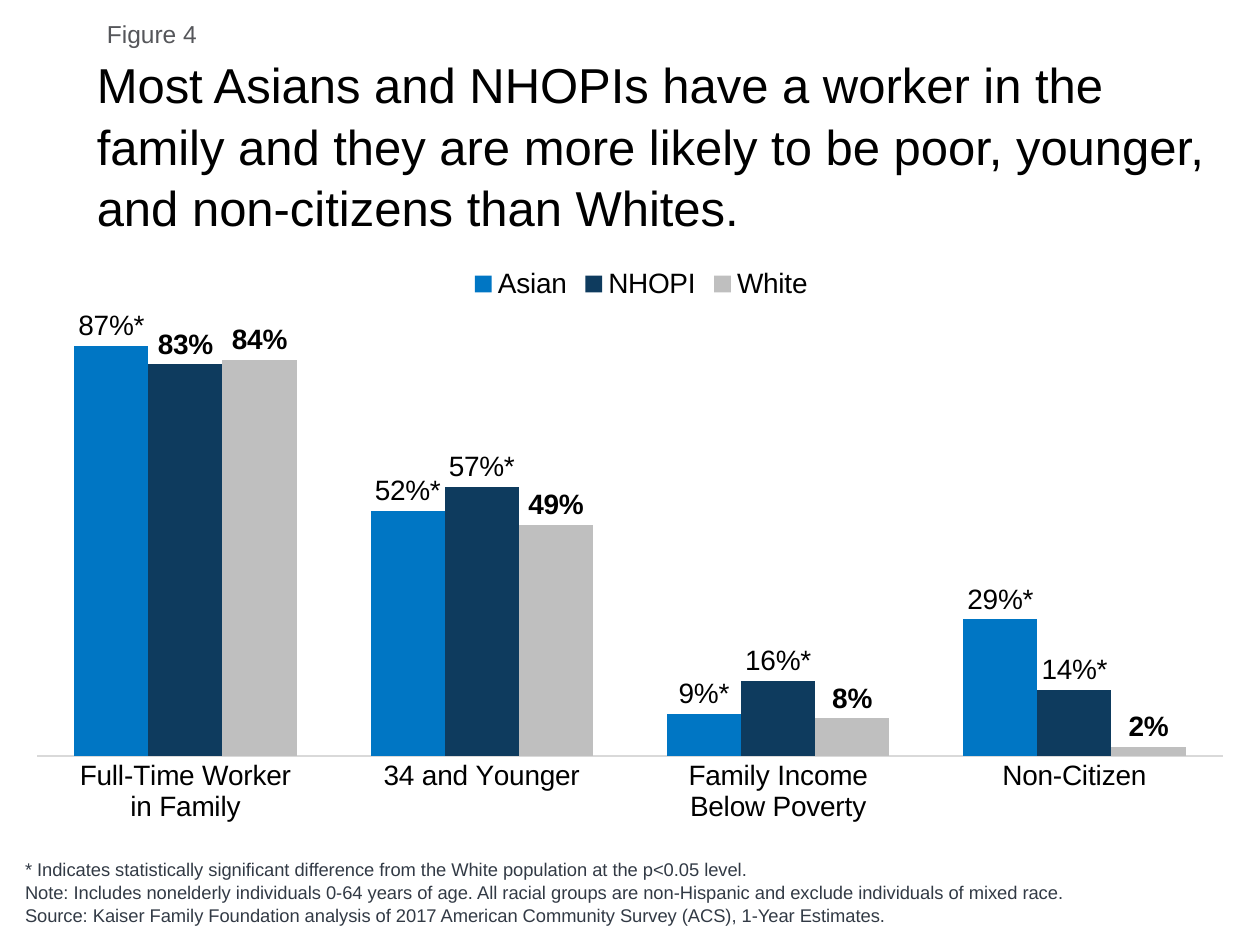
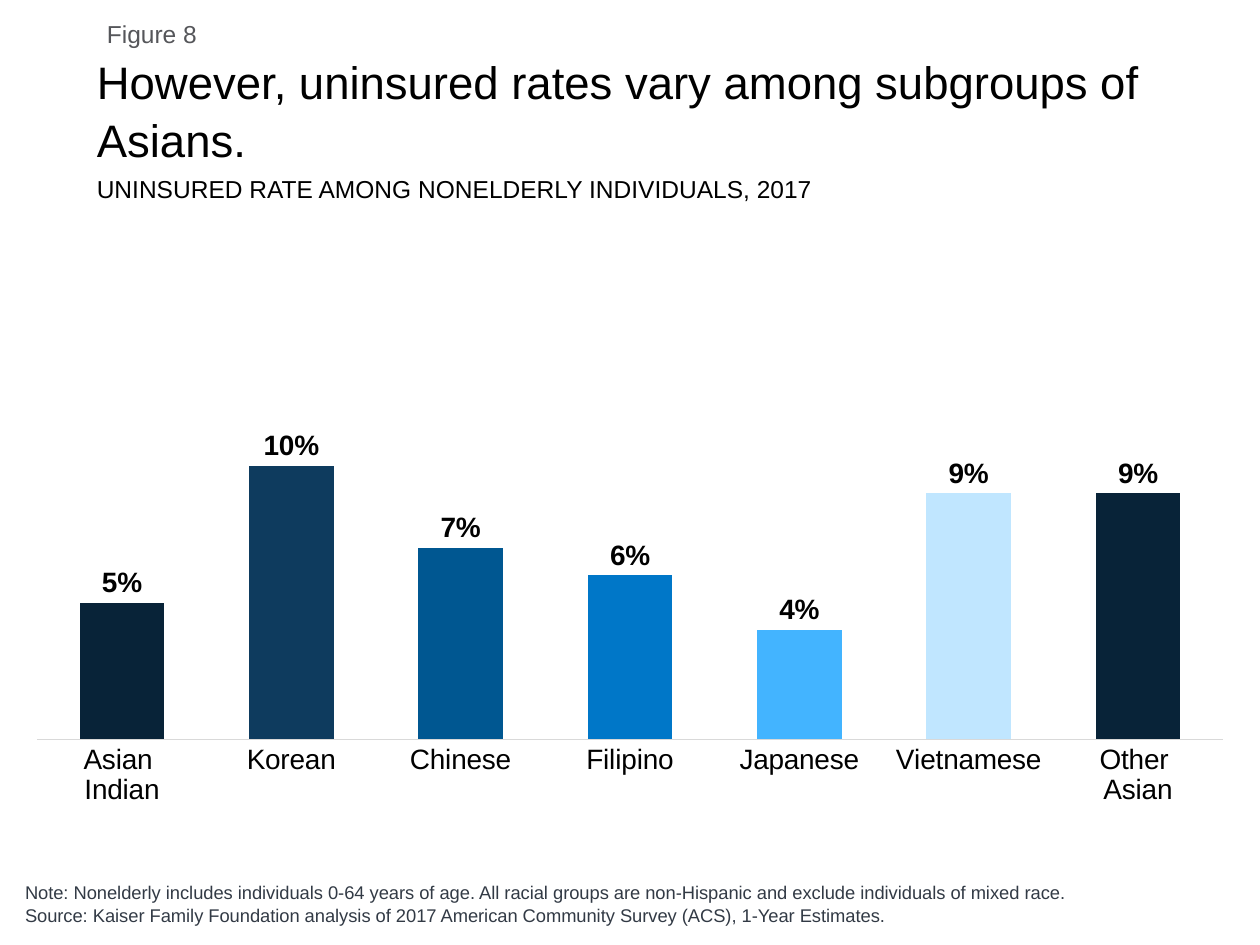
from pptx import Presentation
from pptx.chart.data import CategoryChartData
from pptx.dml.color import RGBColor
from pptx.enum.chart import XL_CHART_TYPE as ChartType, XL_LABEL_POSITION as LabelPosition
from pptx.enum.chart import XL_LEGEND_POSITION as LegendPosition, XL_TICK_MARK as TickMark
from pptx.enum.text import MSO_ANCHOR as Anchor
from pptx.oxml import parse_xml
from pptx.oxml.ns import nsdecls, qn
from pptx.util import Inches, Pt

FONT = "Arial"
COLORS = {
    "text": "000000", "figure": "55565A", "note": "323A45", "axis": "D9D9D9",
    "asian": "0076C4", "nhopi": "0E3B5E", "white": "BFBFBF",
}
SUBGROUP_COLORS = ["082338", "0E3B5E", "005791", "0077C8", "43B4FF", "C0E6FF", "082338"]
SOURCE = ("Source: Kaiser Family Foundation analysis of 2017 American Community Survey "
          "(ACS), 1-Year Estimates.")
EXCLUSION = ("individuals 0-64 years of age. All racial groups are non-Hispanic "
             "and exclude individuals of mixed race.")

FIGURES = [
    {
        "figure": "Figure 4",
        "title": "Most Asians and NHOPIs have a worker in the family and they are more "
                 "likely to be poor, younger, and non-citizens than Whites.",
        "title_size": 28,
        "notes": [
            "* Indicates statistically significant difference from the White population "
            "at the p<0.05 level.",
            "Note: Includes nonelderly " + EXCLUSION,
            SOURCE,
        ],
        "chart_box": (0.1, 1.75, 9.8, 4.87),
        "plot_layout": {"x": 0.02, "y": 0.104, "w": 0.96, "h": 0.769},
        "legend_layout": {"x": 0.367, "y": 0.07},
        "maximum": 1,
        "categories": ["Full-Time Worker\nin Family", "34 and Younger",
                       "Family Income\nBelow Poverty", "Non-Citizen"],
        "series": [
            {"name": "Asian", "values": [0.87, 0.52, 0.09, 0.29],
             "color": COLORS["asian"], "significant": [0, 1, 2, 3]},
            {"name": "NHOPI", "values": [0.83, 0.57, 0.16, 0.14],
             "color": COLORS["nhopi"], "significant": [1, 2, 3]},
            {"name": "White", "values": [0.84, 0.49, 0.08, 0.02],
             "color": COLORS["white"]},
        ],
    },
    {
        "figure": "Figure 8",
        "title": "However, uninsured rates vary among subgroups of Asians.",
        "title_size": 26,
        "subtitle": "UNINSURED RATE AMONG NONELDERLY INDIVIDUALS, 2017",
        "notes": ["Note: Nonelderly includes " + EXCLUSION, SOURCE],
        "chart_box": (0.1, 1.5, 9.8, 5),
        "plot_layout": {"x": 0.02, "y": 0.006, "w": 0.96, "h": 0.868},
        "maximum": 0.2,
        "categories": ["Asian \nIndian", "Korean", "Chinese", "Filipino",
                       "Japanese", "Vietnamese", "Other \nAsian"],
        "series": [
            {"name": "Series 1", "values": [0.05, 0.1, 0.07, 0.06, 0.04, 0.09, 0.09],
             "color": SUBGROUP_COLORS[0], "point_colors": SUBGROUP_COLORS},
        ],
    },
]


def set_font(font, size, color=COLORS["text"], bold=False):
    font.name = FONT
    font.size = Pt(size)
    font.bold = bold
    font.color.rgb = RGBColor.from_string(color)


def set_fill(fill, color):
    fill.solid()
    fill.fore_color.rgb = RGBColor.from_string(color)


def add_text(slide, lines, box, size, color=COLORS["text"], anchor=Anchor.TOP, spacing=1.0):
    frame = slide.shapes.add_textbox(*map(Inches, box)).text_frame
    frame.word_wrap = True
    frame.vertical_anchor = anchor
    for index, line in enumerate(lines):
        paragraph = frame.add_paragraph() if index else frame.paragraphs[0]
        paragraph.line_spacing = spacing
        run = paragraph.add_run()
        run.text = line
        set_font(run.font, size, color)


def set_layout(element, position, layout, inner=False):
    for existing in element.findall(qn("c:layout")):
        element.remove(existing)
    target = '<c:layoutTarget val="inner"/>' if inner else ""
    modes = "".join(f'<c:{side}Mode val="edge"/>' for side in "xy")
    values = "".join(f'<c:{key} val="{value}"/>' for key, value in layout.items())
    element.insert(position, parse_xml(
        f'<c:layout {nsdecls("c")}><c:manualLayout>{target}{modes}{values}'
        "</c:manualLayout></c:layout>"))


def format_series(series, content):
    series.invert_if_negative = False
    set_fill(series.format.fill, content["color"])
    for index, color in enumerate(content.get("point_colors", [])):
        set_fill(series.points[index].format.fill, color)
    labels = series.data_labels
    labels.show_value = True
    labels.number_format = "0%"
    labels.number_format_is_linked = False
    labels.position = LabelPosition.OUTSIDE_END
    set_font(labels.font, 16, bold=True)
    for index in content.get("significant", []):
        label = series.points[index].data_label
        run = label.text_frame.paragraphs[0].add_run()
        run.text = f"{content['values'][index]:.0%}*"
        set_font(run.font, 16)
        label.position = LabelPosition.OUTSIDE_END


def add_column_chart(slide, content):
    data = CategoryChartData(number_format="0%")
    data.categories = content["categories"]
    for series in content["series"]:
        data.add_series(series["name"], series["values"])
    chart = slide.shapes.add_chart(
        ChartType.COLUMN_CLUSTERED, *map(Inches, content["chart_box"]), data).chart
    chart.has_title = False
    set_font(chart.font, 10)

    plot = chart.plots[0]
    plot.gap_width = 100
    plot.overlap = 0
    plot.vary_by_categories = False
    for series, series_content in zip(plot.series, content["series"]):
        format_series(series, series_content)

    value_axis = chart.value_axis
    value_axis.minimum_scale = 0
    value_axis.maximum_scale = content["maximum"]
    value_axis.has_major_gridlines = False
    value_axis.visible = False

    category_axis = chart.category_axis
    category_axis.major_tick_mark = TickMark.NONE
    category_axis.minor_tick_mark = TickMark.NONE
    set_font(category_axis.tick_labels.font, 16)
    category_axis.format.line.width = Pt(0.75)
    set_fill(category_axis.format.line.fill, COLORS["axis"])

    set_layout(chart._chartSpace.chart.plotArea, 0, content["plot_layout"], inner=True)
    chart.has_legend = "legend_layout" in content
    if chart.has_legend:
        legend = chart.legend
        legend.position = LegendPosition.TOP
        legend.include_in_layout = False
        set_font(legend.font, 16)
        set_layout(legend._element, 1, content["legend_layout"])


def add_figure(presentation, content):
    slide = presentation.slides.add_slide(presentation.slide_layouts[6])
    add_text(slide, [content["figure"]], (0.75, 0.1, 9.15, 0.34), 14, COLORS["figure"])
    add_text(slide, [content["title"]], (0.67, 0.36, 9.23, 1),
             content["title_size"], spacing=1.05)
    add_text(slide, content["notes"], (0.1, 6.8, 8.98, 0.6), 10.5, COLORS["note"],
             anchor=Anchor.BOTTOM, spacing=1.04)
    add_column_chart(slide, content)
    if "subtitle" in content:
        add_text(slide, [content["subtitle"]], (0.67, 1.33, 8.67, 0.34), 14)


def main():
    presentation = Presentation()
    presentation.slide_width = Inches(10)
    presentation.slide_height = Inches(7.5)
    for content in FIGURES:
        add_figure(presentation, content)
    presentation.save("out.pptx")


if __name__ == "__main__":
    main()
